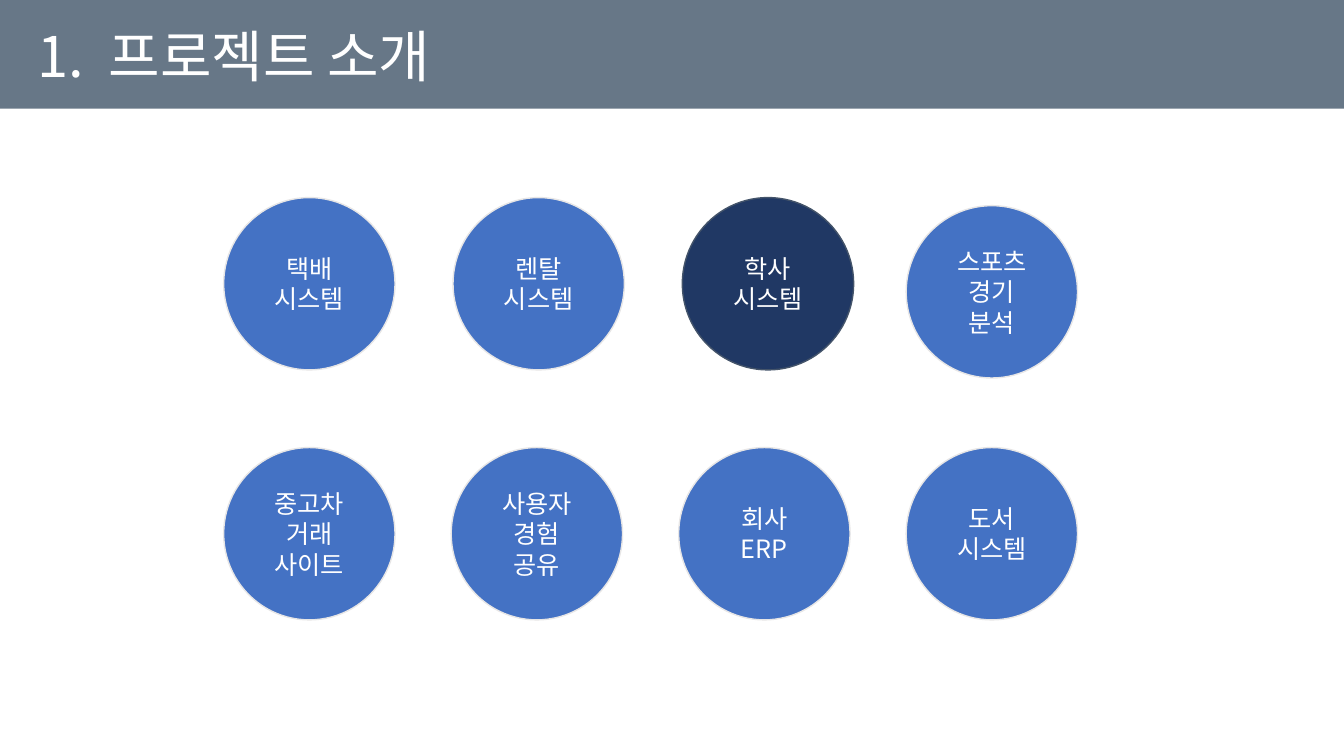
from dataclasses import dataclass

import lxml.etree
import pptx
import pptx.dml.color
import pptx.enum.shapes
import pptx.enum.text
import pptx.oxml.ns
import pptx.util

Pt = pptx.util.Pt
RGB = pptx.dml.color.RGBColor.from_string
SHAPES = pptx.enum.shapes.MSO_SHAPE
ANCHOR = pptx.enum.text.MSO_ANCHOR
ALIGN = pptx.enum.text.PP_ALIGN
AUTO_SIZE = pptx.enum.text.MSO_AUTO_SIZE


@dataclass(frozen=True)
class Theme:
    font: str = "Noto Sans CJK KR"
    title_size: float = 40
    topic_size: float = 18
    text: str = "FFFFFF"
    band: str = "677787"
    topic: str = "4472C4"
    topic_edge: str = "E7E6E6"
    chosen: str = "203864"
    chosen_edge: str = "44546A"


class SlideBuilder:
    def __init__(self, slide, theme):
        self.slide = slide
        self.theme = theme

    def apply(self, target, formats):
        for attribute, value in formats.items():
            setattr(target, attribute, value)

    def add_text(self, paragraph, text, size, spacing=0):
        run = paragraph.add_run()
        run.text = text
        self.apply(run.font, {"size": Pt(size), "name": self.theme.font})
        run.font.color.rgb = RGB(self.theme.text)
        properties = run._r.get_or_add_rPr()
        if spacing:
            properties.set("spc", str(spacing * 100))
        east_asian = lxml.etree.SubElement(properties, pptx.oxml.ns.qn("a:ea"))
        east_asian.set("typeface", self.theme.font)

    def filled(self, kind, box, fill, edge=None):
        shape = self.slide.shapes.add_shape(kind, *map(Pt, box))
        shape.shadow.inherit = False
        shape.fill.solid()
        shape.fill.fore_color.rgb = RGB(fill)
        if edge:
            shape.line.color.rgb = RGB(edge)
            shape.line.width = Pt(1)
        else:
            shape.line.fill.background()
        return shape

    def band(self, box):
        self.filled(SHAPES.RECTANGLE, box, self.theme.band)

    def title(self, box, number, heading):
        frame = self.slide.shapes.add_textbox(*map(Pt, box)).text_frame
        self.apply(frame, {"word_wrap": True, "auto_size": AUTO_SIZE.SHAPE_TO_FIT_TEXT})
        for text, spacing in ((number, 0), (" ", 9), (heading, 0)):
            self.add_text(frame.paragraphs[0], text, self.theme.title_size, spacing)

    def topic(self, box, lines, chosen=False):
        theme = self.theme
        colors = (theme.chosen, theme.chosen_edge) if chosen else (theme.topic, theme.topic_edge)
        frame = self.filled(SHAPES.OVAL, box, *colors).text_frame
        self.apply(frame, {"word_wrap": True, "vertical_anchor": ANCHOR.MIDDLE})
        for index, line in enumerate(lines):
            paragraph = frame.add_paragraph() if index else frame.paragraphs[0]
            paragraph.alignment = ALIGN.CENTER
            self.add_text(paragraph, line, theme.topic_size)


def main():
    presentation = pptx.Presentation()
    presentation.slide_width = Pt(960)
    presentation.slide_height = Pt(540)
    slide = presentation.slides.add_slide(presentation.slide_layouts[6])
    builder = SlideBuilder(slide, Theme())

    builder.band((0, -2.9, 960, 80.6))
    builder.title((19.4, 12.2, 628, 55.4), "1.", "프로젝트 소개")

    width, height = 122.4, 123.1
    left, last_left = 159.8, 647.3
    upper, lower = 141.1, 319.7
    upper_topics = (("택배", "시스템"), ("렌탈", "시스템"), ("학사", "시스템"))
    lower_topics = (
        ("중고차 거래 사이트",),
        ("사용자", "경험", "공유"),
        ("회사", "ERP"),
        ("도서", "시스템"),
    )
    for column, lines in enumerate(upper_topics):
        builder.topic((left + column * 163.8, upper, width, height), lines, lines[0] == "학사")
    builder.topic((last_left, upper + 5.8, width, height), ("스포츠", "경기", "분석"))

    pitch = (last_left - left) / (len(lower_topics) - 1)
    for column, lines in enumerate(lower_topics):
        builder.topic((left + column * pitch, lower, width, height), lines)

    presentation.save("out.pptx")


if __name__ == "__main__":
    main()
